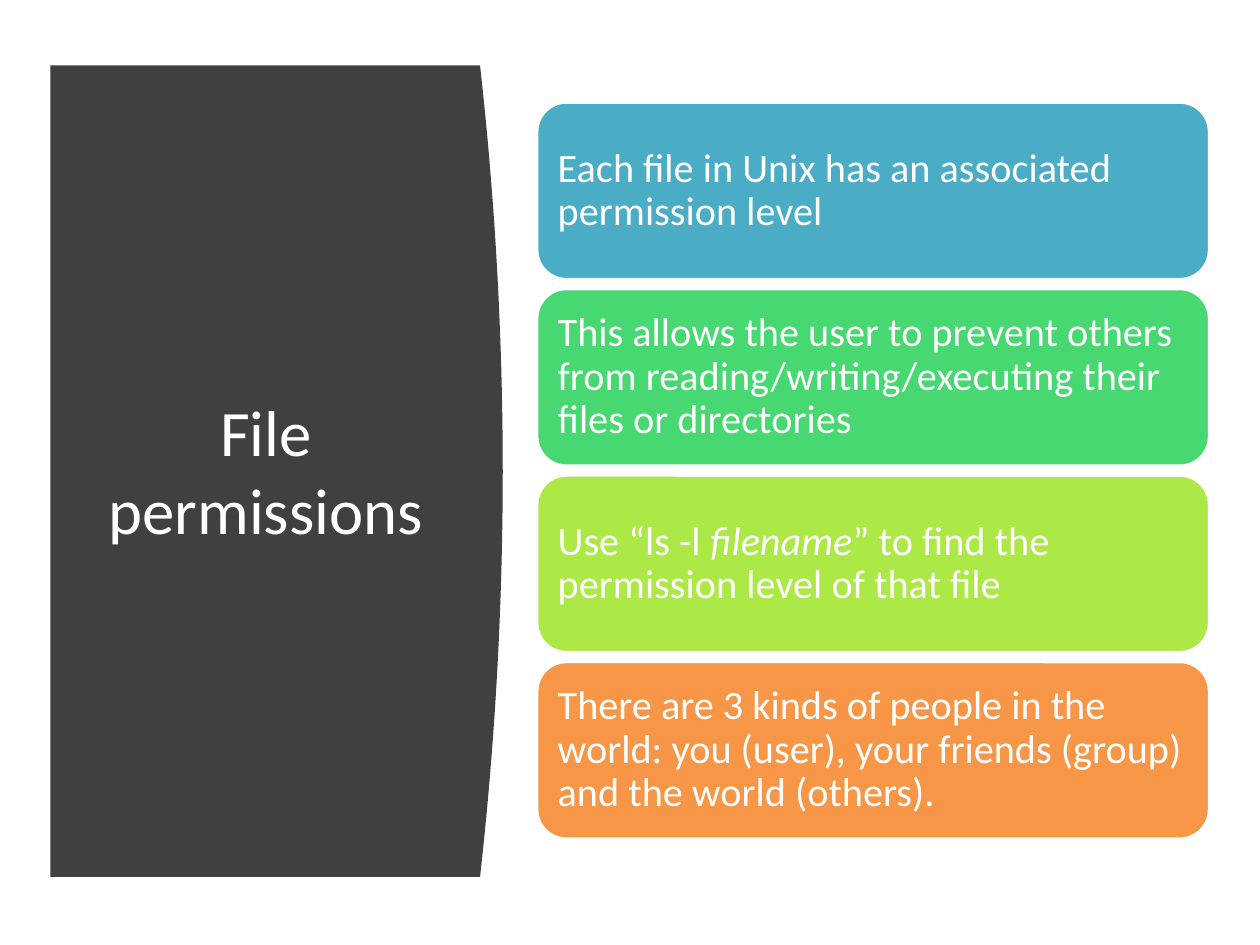
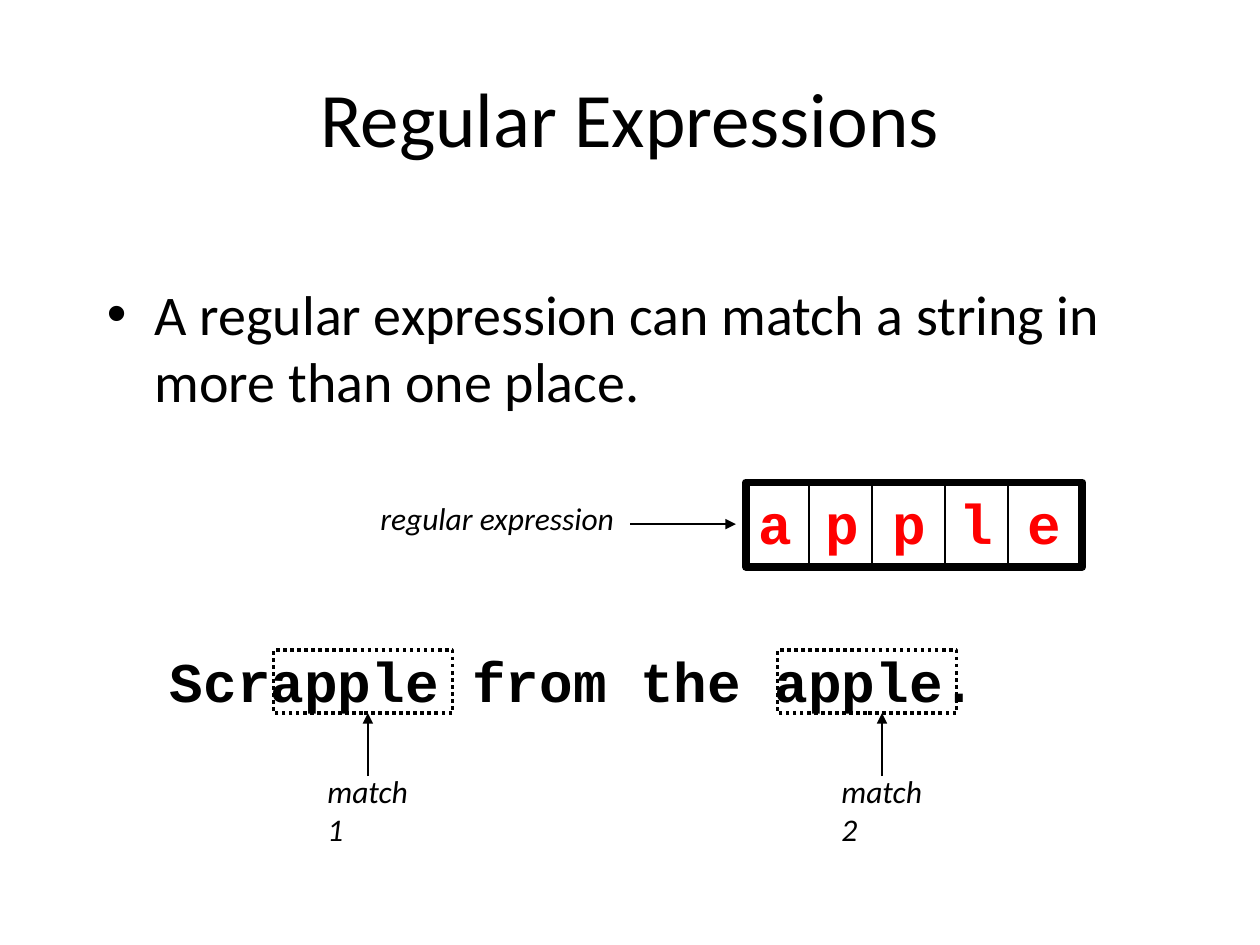
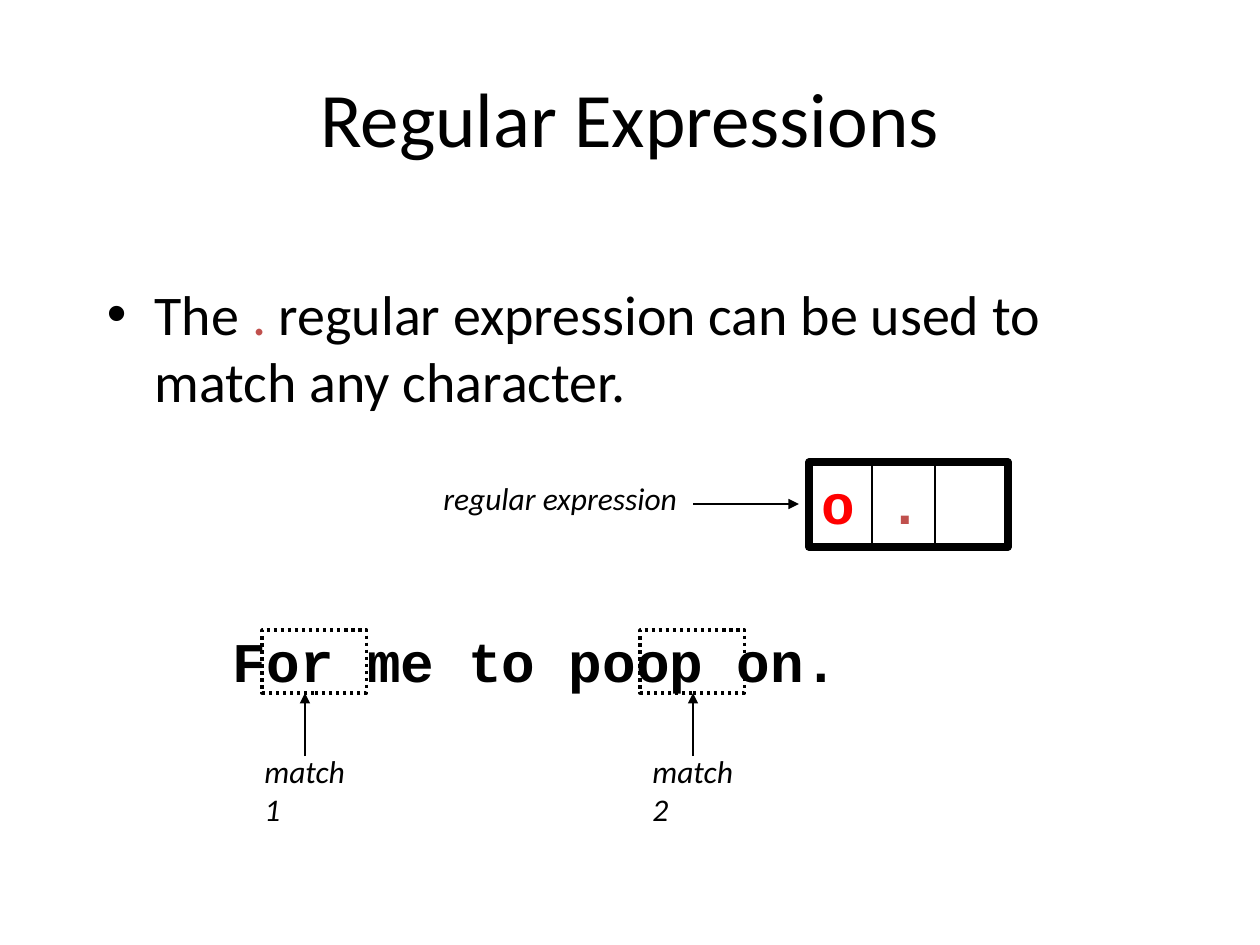
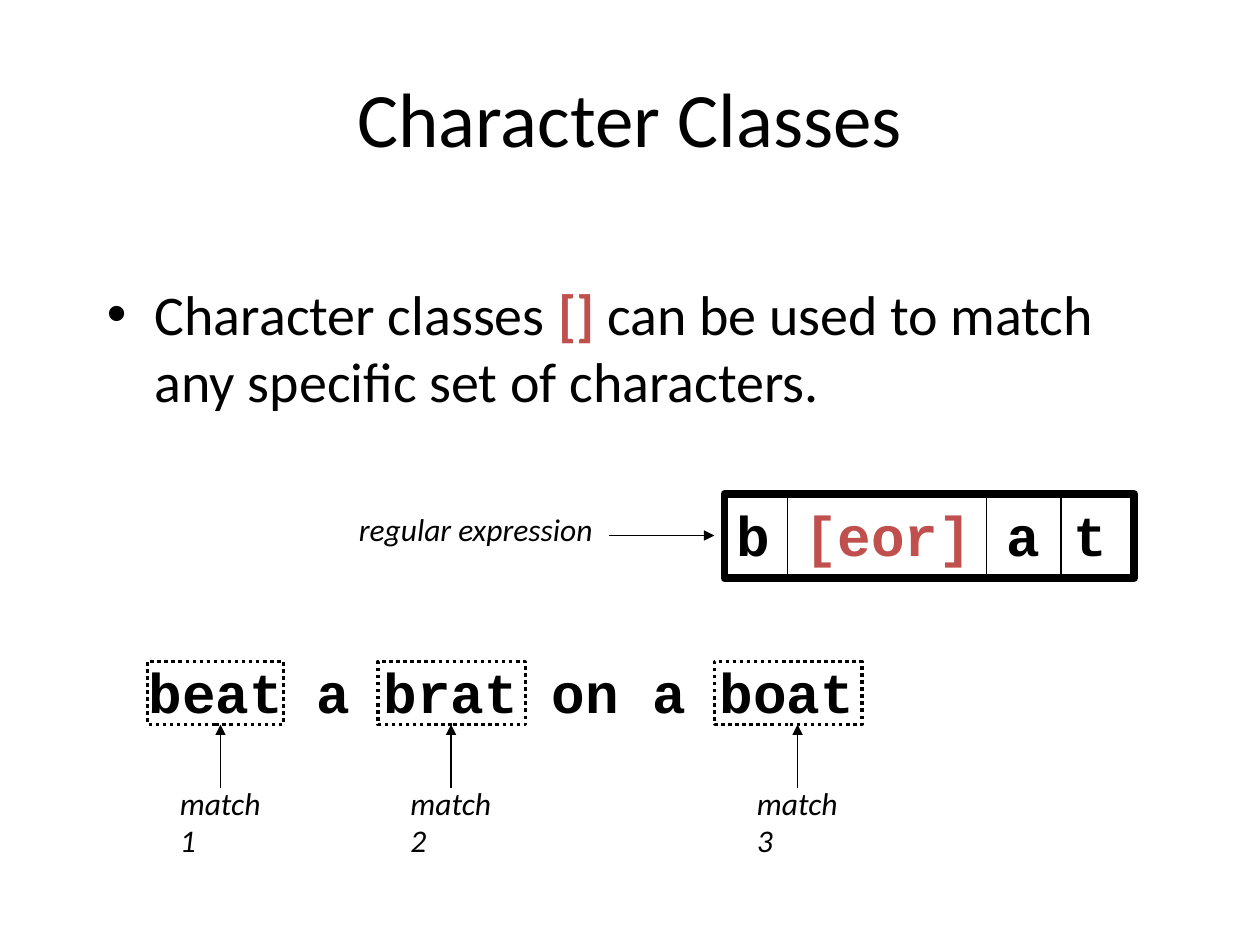
from dataclasses import dataclass

import lxml.etree
import pptx
import pptx.dml.color
import pptx.enum.dml
import pptx.enum.shapes
import pptx.enum.text
import pptx.oxml.ns
import pptx.presentation
import pptx.shapes.autoshape
import pptx.shapes.connector
import pptx.slide
import pptx.util

Inches = pptx.util.Inches
RGBColor = pptx.dml.color.RGBColor
Shapes = pptx.enum.shapes.MSO_SHAPE
Anchor = pptx.enum.text.MSO_ANCHOR
Align = pptx.enum.text.PP_ALIGN

BLACK = RGBColor(0x00, 0x00, 0x00)
WHITE = RGBColor(0xFF, 0xFF, 0xFF)
CHARCOAL = RGBColor(0x40, 0x40, 0x40)
TEAL = RGBColor(0x4B, 0xAC, 0xC6)
GREEN = RGBColor(0x47, 0xD8, 0x72)
LIME = RGBColor(0xAC, 0xE9, 0x46)
ORANGE = RGBColor(0xF7, 0x96, 0x46)
RED = RGBColor(0xFF, 0x00, 0x00)
BRICK = RGBColor(0xC0, 0x50, 0x4D)


@dataclass(frozen=True)
class Style:
    size: float
    color: RGBColor = BLACK
    font: str = "Calibri"
    bold: bool = False
    italic: bool = False


@dataclass(frozen=True)
class Run:
    """A piece of text; None keeps the style of its paragraph."""
    text: str
    color: RGBColor | None = None
    bold: bool | None = None
    italic: bool | None = None


@dataclass(frozen=True)
class Box:
    left: float
    top: float
    width: float
    height: float

    def lengths(self) -> tuple[int, ...]:
        return tuple(Inches(value) for value in (self.left, self.top, self.width, self.height))


@dataclass(frozen=True)
class Card:
    color: RGBColor
    runs: list[Run]


@dataclass(frozen=True)
class Match:
    left: float
    width: float
    arrow_x: float


@dataclass(frozen=True)
class RegexSlide:
    title: str
    bullet: list[Run]
    pattern: list[Run]
    pattern_color: RGBColor
    pattern_text_width: float
    frame: Box
    dividers: list[float]
    sentence: str
    sentence_left: float
    matches: list[Match]


TITLE = Style(44)
SIDE_TITLE = Style(37, WHITE)
CARD_TEXT = Style(23, WHITE)
BODY = Style(32)
LABEL = Style(18, italic=True)
CODE = Style(32, font="Courier New", bold=True)

PANEL = Box(0.4, 0.52, 3.41, 6.44)
PANEL_BULGE = 0.18
PANEL_STEPS = 40
FIRST_CARD = Box(4.26, 0.81, 5.34, 1.41)
CARD_PITCH = 1.48

CARDS = [
    Card(TEAL, [Run("Each file in Unix has an associated permission level")]),
    Card(GREEN, [Run("This allows the user to prevent others from "
                     "reading/writing/executing their files or directories")]),
    Card(LIME, [Run("Use “ls -l "), Run("filename", italic=True),
                Run("” to find the permission level of that file")]),
    Card(ORANGE, [Run("There are 3 kinds of people in the world: you (user), "
                      "your friends (group) and the world (others).")]),
]

REGEX_SLIDES = [
    RegexSlide(
        title="Regular Expressions",
        bullet=[Run("A regular expression can match a string in more than one place.")],
        pattern=[Run("a p p l e")],
        pattern_color=RED,
        pattern_text_width=2.67,
        frame=Box(5.92, 3.83, 2.67, 0.67),
        dividers=[6.42, 6.92, 7.5, 8],
        sentence="Scrapple from the apple.",
        sentence_left=1.25,
        matches=[Match(2.17, 1.42, 2.92), Match(6.17, 1.42, 7)],
    ),
    RegexSlide(
        title="Regular Expressions",
        bullet=[Run("The "), Run(".", BRICK),
                Run(" regular expression can be used to match any character.")],
        pattern=[Run("o "), Run(".", BRICK)],
        pattern_color=RED,
        pattern_text_width=1.42,
        frame=Box(6.42, 3.67, 1.58, 0.67),
        dividers=[6.92, 7.42],
        sentence="For me to poop on.",
        sentence_left=1.75,
        matches=[Match(2.08, 0.83, 2.42), Match(5.08, 0.83, 5.5)],
    ),
    RegexSlide(
        title="Character Classes",
        bullet=[Run("Character classes "), Run("[]", BRICK, bold=True),
                Run(" can be used to match any specific set of characters.")],
        pattern=[Run("b "), Run("[eor] ", BRICK), Run("a t")],
        pattern_color=BLACK,
        pattern_text_width=3.5,
        frame=Box(5.75, 3.92, 3.25, 0.67),
        dividers=[6.25, 7.83, 8.42],
        sentence="beat a brat on a boat",
        sentence_left=1.08,
        matches=[Match(1.17, 1.08, 1.75), Match(3, 1.17, 3.58), Match(5.67, 1.17, 6.33)],
    ),
]


def write(shape: pptx.shapes.autoshape.Shape, runs: list[Run], style: Style,
          anchor: Anchor = Anchor.TOP, align: Align = Align.LEFT,
          bullet: bool = False) -> None:
    """Fill the shape with one wrapped paragraph."""
    frame = shape.text_frame
    frame.word_wrap = True
    frame.vertical_anchor = anchor
    paragraph = frame.paragraphs[0]
    paragraph.alignment = align
    if bullet:
        add_bullet(paragraph)
    font = paragraph.font
    font.name = style.font
    font.size = pptx.util.Pt(style.size)
    font.bold = style.bold
    font.italic = style.italic
    font.color.rgb = style.color
    for item in runs:
        run = paragraph.add_run()
        run.text = item.text
        if item.color is not None:
            run.font.color.rgb = item.color
        if item.bold is not None:
            run.font.bold = item.bold
        if item.italic is not None:
            run.font.italic = item.italic


def add_bullet(paragraph: pptx.text.text._Paragraph) -> None:
    properties = paragraph._p.get_or_add_pPr()
    properties.set("marL", str(Inches(0.38)))
    properties.set("indent", str(-Inches(0.38)))
    for tag, name, value in (("a:buFont", "typeface", "Arial"), ("a:buChar", "char", "•")):
        element = lxml.etree.SubElement(properties, pptx.oxml.ns.qn(tag))
        element.set(name, value)


def add_text(slide: pptx.slide.Slide, box: Box, runs: list[Run], style: Style,
             anchor: Anchor = Anchor.TOP, align: Align = Align.LEFT,
             bullet: bool = False) -> None:
    shape = slide.shapes.add_textbox(*box.lengths())
    write(shape, runs, style, anchor, align, bullet)


def add_title(slide: pptx.slide.Slide, box: Box, text: str, style: Style) -> None:
    add_text(slide, box, [Run(text)], style, Anchor.MIDDLE, Align.CENTER)


def add_outline(slide: pptx.slide.Slide, box: Box, width: float, dotted: bool = False) -> None:
    shape = slide.shapes.add_shape(Shapes.RECTANGLE, *box.lengths())
    shape.shadow.inherit = False
    shape.fill.background()
    shape.line.color.rgb = BLACK
    shape.line.width = pptx.util.Pt(width)
    if dotted:
        shape.line.dash_style = pptx.enum.dml.MSO_LINE.ROUND_DOT


def add_line(slide: pptx.slide.Slide, start: tuple[float, float], end: tuple[float, float],
             arrow: bool = False) -> None:
    points = [Inches(value) for value in (*start, *end)]
    connector = slide.shapes.add_connector(pptx.enum.shapes.MSO_CONNECTOR.STRAIGHT, *points)
    connector.line.color.rgb = BLACK
    connector.line.width = pptx.util.Pt(0.75)
    if arrow:
        line = connector.line._get_or_add_ln()
        lxml.etree.SubElement(line, pptx.oxml.ns.qn("a:tailEnd")).set("type", "triangle")
    lxml.etree.SubElement(connector._element.spPr, pptx.oxml.ns.qn("a:effectLst"))


def add_panel(slide: pptx.slide.Slide) -> None:
    """Draw the dark panel, whose right edge bulges as a parabola."""
    right = PANEL.left + PANEL.width
    bottom = PANEL.top + PANEL.height
    edge = []
    for step in range(PANEL_STEPS + 1):
        share = step / PANEL_STEPS
        bulge = PANEL_BULGE * (1 - (2 * share - 1) ** 2)
        edge.append((Inches(right + bulge), Inches(PANEL.top + share * PANEL.height)))
    builder = slide.shapes.build_freeform(Inches(PANEL.left), Inches(PANEL.top))
    builder.add_line_segments([*edge, (Inches(PANEL.left), Inches(bottom))], close=True)
    shape = builder.convert_to_shape()
    shape.shadow.inherit = False
    shape.fill.solid()
    shape.fill.fore_color.rgb = CHARCOAL
    shape.line.fill.background()


def add_card(slide: pptx.slide.Slide, box: Box, card: Card) -> None:
    shape = slide.shapes.add_shape(Shapes.ROUNDED_RECTANGLE, *box.lengths())
    shape.shadow.inherit = False
    shape.fill.solid()
    shape.fill.fore_color.rgb = card.color
    shape.line.color.rgb = WHITE
    shape.line.width = pptx.util.Pt(2)
    write(shape, card.runs, CARD_TEXT, Anchor.MIDDLE)
    frame = shape.text_frame
    frame.margin_left = frame.margin_right = Inches(0.1)
    frame.margin_top = frame.margin_bottom = Inches(0.1)
    frame.paragraphs[0].line_spacing = 0.9


def add_match(slide: pptx.slide.Slide, match: Match, number: int, top: float) -> None:
    """Frame one match and point to it from a numbered label below."""
    add_outline(slide, Box(match.left, top, match.width, 0.5), 2, dotted=True)
    add_line(slide, (match.arrow_x, top + 1), (match.arrow_x, top + 0.5), arrow=True)
    add_text(slide, Box(match.arrow_x - 0.42, top + 0.92, 1, 0.4),
             [Run(f"match {number}")], LABEL)


def build_permissions_slide(slide: pptx.slide.Slide) -> None:
    add_panel(slide)
    add_title(slide, Box(0.71, 1.11, 2.8, 5.24), "File permissions", SIDE_TITLE)
    for index, card in enumerate(CARDS):
        top = FIRST_CARD.top + index * CARD_PITCH
        add_card(slide, Box(FIRST_CARD.left, top, FIRST_CARD.width, FIRST_CARD.height), card)


def build_regex_slide(slide: pptx.slide.Slide, content: RegexSlide) -> None:
    """Lay out the diagram relative to the frame around the pattern."""
    left, top = content.frame.left, content.frame.top
    add_title(slide, Box(0.5, 0.3, 9, 1.25), content.title, TITLE)
    add_text(slide, Box(0.75, 2.17, 8.5, 1.17), content.bullet, BODY, bullet=True)

    add_text(slide, Box(content.sentence_left, top + 1.25, 6.75, 0.63),
             [Run(content.sentence)], CODE)
    for number, match in enumerate(content.matches, start=1):
        add_match(slide, match, number, top + 1.33)

    add_text(slide, Box(left - 3, top + 0.08, 2.08, 0.4), [Run("regular expression")], LABEL)
    add_line(slide, (left - 0.92, top + 0.33), (left - 0.08, top + 0.33), arrow=True)
    add_outline(slide, content.frame, 4.5)
    pattern_style = Style(CODE.size, content.pattern_color, CODE.font, CODE.bold)
    add_text(slide, Box(left, top, content.pattern_text_width, 0.63),
             content.pattern, pattern_style)
    for x in content.dividers:
        add_line(slide, (x, top), (x, top + content.frame.height))


def add_blank_slide(presentation: pptx.presentation.Presentation) -> pptx.slide.Slide:
    return presentation.slides.add_slide(presentation.slide_layouts[6])


def main() -> None:
    presentation = pptx.Presentation()
    presentation.slide_width = Inches(10)
    presentation.slide_height = Inches(7.5)
    build_permissions_slide(add_blank_slide(presentation))
    for content in REGEX_SLIDES:
        build_regex_slide(add_blank_slide(presentation), content)
    presentation.save("out.pptx")


if __name__ == "__main__":
    main()
